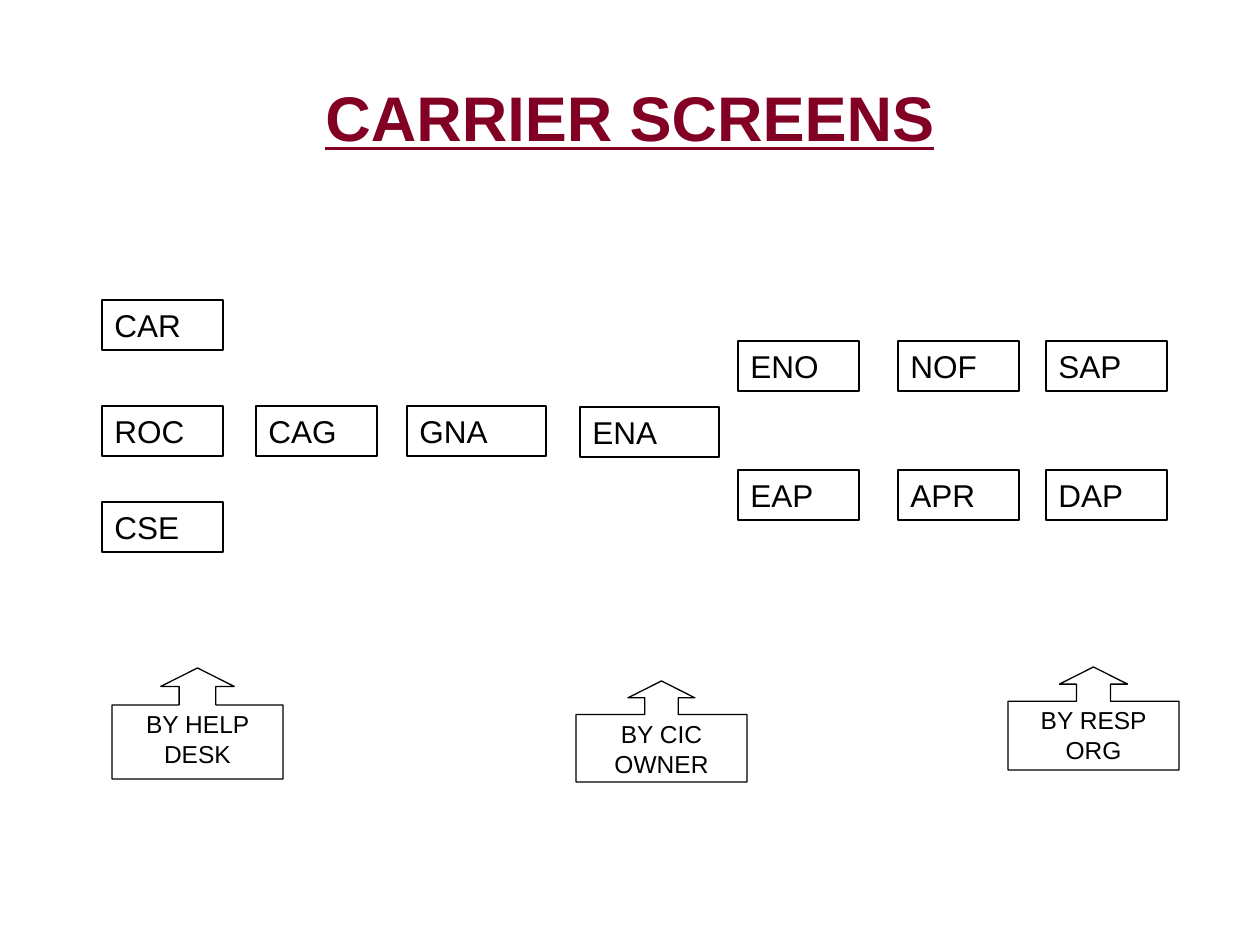
from dataclasses import dataclass

from pptx import Presentation
from pptx import util as u
from pptx.dml.color import RGBColor
from pptx.enum import shapes, text

PX = u.Inches(1) / 126


@dataclass(frozen=True)
class Theme:
    font: str = "Arial"
    title_color: RGBColor = RGBColor(0x82, 0x00, 0x24)
    ink: RGBColor = RGBColor(0, 0, 0)
    title_size: int = 36
    screen_size: int = 18
    owner_size: int = 14
    outline: float = 0.75


THEME = Theme()

BOX_HEIGHT, NARROW, WIDE = 50, 121, 139
UPPER, MIDDLE, LOWER = 341, 406, 470
CALLOUT_WIDTH = 171
CALLOUT_ADJUSTMENTS = (0.331, 0.331, 0.167, 0.667)

# Each stage: screens as (code, left, top, width), then owner, left, top, height
STAGES = [
    ([("SAP", 1046, UPPER, NARROW), ("DAP", 1046, LOWER, NARROW)],
     ("BY RESP ORG", 1008, 667, 103)),
    ([("CAR", 102, 300, NARROW), ("ROC", 102, MIDDLE, NARROW),
      ("CSE", 102, 502, NARROW)],
     ("BY HELP DESK", 112, 668, 111)),
    ([("CAG", 256, MIDDLE, NARROW), ("GNA", 407, MIDDLE, WIDE),
      ("ENA", 580, MIDDLE + 1, WIDE),
      ("ENO", 738, UPPER, NARROW), ("EAP", 738, LOWER, NARROW),
      ("NOF", 898, UPPER, NARROW), ("APR", 898, LOWER, NARROW)],
     ("BY CIC OWNER", 576, 681, 101)),
]


def px(*lengths):
    return [round(length * PX) for length in lengths]


def write(shape, wording, size, color, align, anchor=text.MSO_ANCHOR.TOP):
    frame = shape.text_frame
    frame.word_wrap = True
    frame.vertical_anchor = anchor
    frame.text = wording
    paragraph = frame.paragraphs[0]
    paragraph.alignment = align
    font = paragraph.runs[0].font
    font.name, font.size = THEME.font, u.Pt(size)
    font.color.rgb = color
    return font


def add_outline(parent, kind, left, top, width, height):
    shape = parent.shapes.add_shape(kind, *px(left, top, width, height))
    shape.shadow.inherit = False
    shape.fill.background()
    shape.line.color.rgb = THEME.ink
    shape.line.width = u.Pt(THEME.outline)
    return shape


def add_title(slide, wording):
    title = slide.shapes.add_textbox(*px(63, 38, 1134, 157))
    font = write(title, wording, THEME.title_size, THEME.title_color,
                 text.PP_ALIGN.CENTER, text.MSO_ANCHOR.MIDDLE)
    font.bold = font.underline = True


def add_screen(stage, code, left, top, width):
    screen = add_outline(stage, shapes.MSO_SHAPE.RECTANGLE,
                         left, top, width, BOX_HEIGHT)
    write(screen, code, THEME.screen_size, THEME.ink, text.PP_ALIGN.LEFT)


def add_owner(stage, owner, left, top, height):
    """Add an up-arrow callout with the owner's name over its body."""
    callout = add_outline(stage, shapes.MSO_SHAPE.UP_ARROW_CALLOUT,
                          left, top, CALLOUT_WIDTH, height)
    for index, value in enumerate(CALLOUT_ADJUSTMENTS):
        callout.adjustments[index] = value
    label = stage.shapes.add_textbox(
        *px(left, top + round(0.315 * height), CALLOUT_WIDTH, round(0.95 * height)))
    write(label, owner, THEME.owner_size, THEME.ink, text.PP_ALIGN.CENTER)


def main():
    deck = Presentation()
    deck.slide_width, deck.slide_height = px(1260, 945)
    slide = deck.slides.add_slide(deck.slide_layouts[6])
    add_title(slide, "CARRIER SCREENS")
    for screens, owner in STAGES:
        stage = slide.shapes.add_group_shape()
        for screen in screens:
            add_screen(stage, *screen)
        add_owner(stage, *owner)
    deck.save("out.pptx")


if __name__ == "__main__":
    main()
